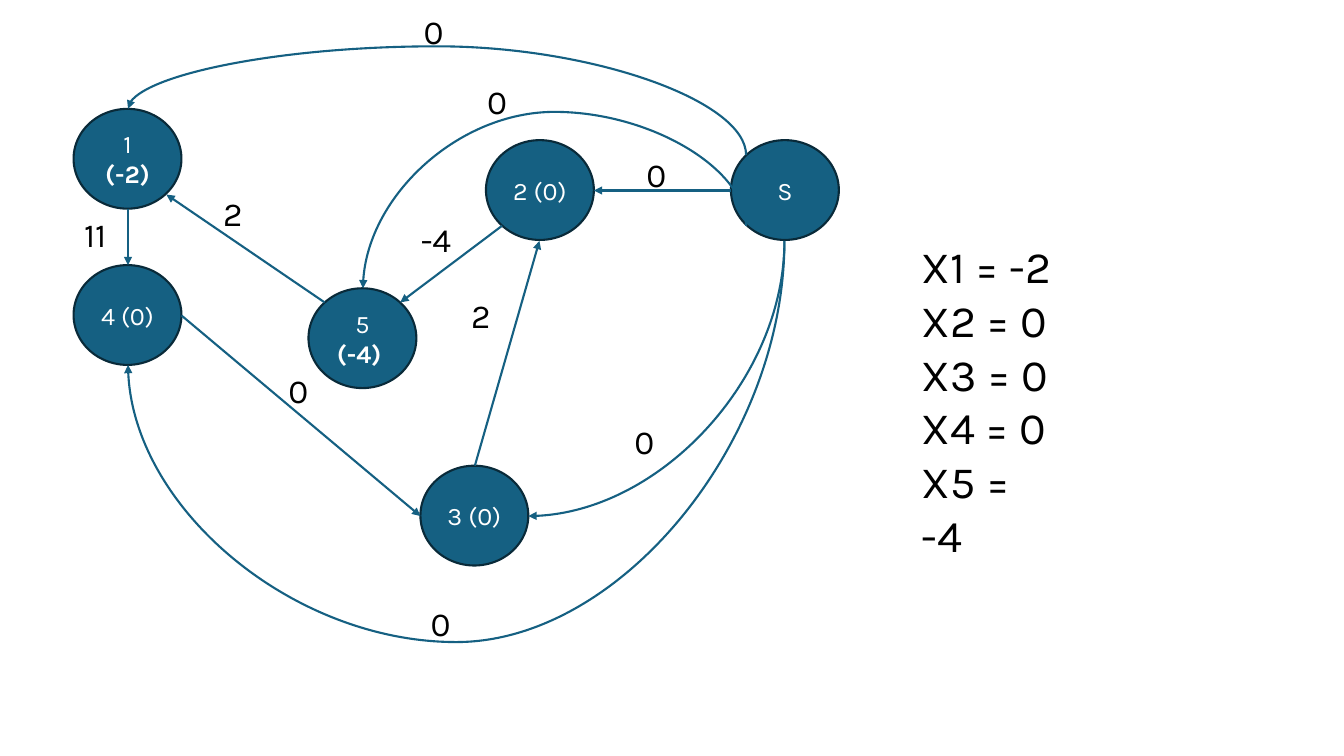
"""Draw a constraint graph with shortest-path values and its solution."""

from dataclasses import dataclass

import pptx
import pptx.dml.color
import pptx.enum.shapes
import pptx.enum.text
import pptx.oxml
import pptx.oxml.ns
import pptx.util

PX = 9144
FONT = "Karla"
TEAL, NAVY, WHITE, BLACK = "156082", "092A39", "FFFFFF", "000000"
NODE_WIDTH, NODE_HEIGHT = 107, 99
LABEL_HEIGHT = 50


@dataclass(frozen=True)
class Node:
    left: int
    top: int
    text: str
    bold_text: str = ""


@dataclass(frozen=True)
class Edge:
    start: tuple[int, int]
    end: tuple[int, int]


@dataclass(frozen=True)
class Curve(Edge):
    preset: str = "curvedConnector3"
    bend: int | None = None


@dataclass(frozen=True)
class Label:
    left: int
    top: int
    text: str
    width: int = 56


NODES = [
    Node(73, 108, "1 ", "(-2)"),
    Node(482, 139, "2 (0)"),
    Node(417, 462, "3 (0)"),
    Node(73, 263, "4 (0)"),
    Node(306, 286, "5 ", "(-4) "),
    Node(725, 139, "S"),
]
EDGES = [
    Edge((471, 462), (535, 239)),
    Edge((498, 224), (397, 300)),
    Edge((322, 300), (165, 193)),
    Edge((127, 207), (127, 263)),
    Edge((180, 313), (417, 512)),
    Edge((725, 189), (589, 189)),
]
CURVES = [
    Curve((740, 154), (127, 108), bend=46),
    Curve((778, 239), (127, 362), bend=637),
    Curve((740, 224), (360, 286), bend=111),
    Curve((778, 239), (524, 512), preset="curvedConnector2"),
]
LABELS = [
    Label(449, 288, "2"),
    Label(268, 362, "0"),
    Label(399, 212, "-4", 67),
    Label(203, 186, "2"),
    Label(63, 207, "11", 63),
    Label(465, 75, "0"),
    Label(402, 6, "0"),
    Label(409, 593, "0"),
    Label(623, 148, "0"),
    Label(611, 413, "0"),
]
SOLUTION = ["X1 = -2", "X2 = 0", "X3 = 0", "X4 = 0", "X5 = -4"]


def px(length: float) -> int:
    """Turn px into EMU."""
    return round(length * PX)


def colour(value: str) -> pptx.dml.color.RGBColor:
    """Turn a hex string into a colour."""
    return pptx.dml.color.RGBColor.from_string(value)


def style_paragraph(paragraph, size: int, value: str, centred: bool = True) -> None:
    """Set the font and alignment of a paragraph."""
    align = pptx.enum.text.PP_ALIGN
    paragraph.alignment = align.CENTER if centred else align.LEFT
    paragraph.font.name = FONT
    paragraph.font.size = pptx.util.Pt(size)
    paragraph.font.color.rgb = colour(value)


def draw_node(slide, node: Node) -> None:
    """Draw a graph node with its distance."""
    shape = slide.shapes.add_shape(
        pptx.enum.shapes.MSO_SHAPE.OVAL,
        px(node.left), px(node.top), px(NODE_WIDTH), px(NODE_HEIGHT),
    )
    shape.shadow.inherit = False
    shape.fill.solid()
    shape.fill.fore_color.rgb = colour(TEAL)
    shape.line.color.rgb = colour(NAVY)
    shape.line.width = pptx.util.Pt(1.5)
    shape.text_frame.vertical_anchor = pptx.enum.text.MSO_ANCHOR.MIDDLE
    paragraph = shape.text_frame.paragraphs[0]
    paragraph.add_run().text = node.text
    if node.bold_text:
        run = paragraph.add_run()
        run.text = node.bold_text
        run.font.bold = True
    style_paragraph(paragraph, 18, WHITE)


def draw_edge(slide, edge: Edge, kind=pptx.enum.shapes.MSO_CONNECTOR.STRAIGHT):
    """Draw an arrow from start to end and return it."""
    connector = slide.shapes.add_connector(kind, *map(px, edge.start + edge.end))
    connector.line.color.rgb = colour(TEAL)
    connector.line.width = pptx.util.Pt(1.5)
    qn = pptx.oxml.ns.qn
    properties = connector._element.spPr
    line = properties.find(qn("a:ln"))
    line.append(line.makeelement(qn("a:tailEnd"), {"type": "triangle"}))
    properties.append(properties.makeelement(qn("a:effectLst"), {}))
    return connector


def draw_curve(slide, curve: Curve) -> None:
    """Draw a curved arrow that leaves its start vertically."""
    connector = draw_edge(slide, curve, pptx.enum.shapes.MSO_CONNECTOR.CURVE)
    (x1, y1), (x2, y2) = curve.start, curve.end
    width, height = abs(y2 - y1), abs(x2 - x1)
    connector.left = px((x1 + x2 - width) / 2)
    connector.top = px((y1 + y2 - height) / 2)
    connector.width, connector.height = px(width), px(height)
    qn = pptx.oxml.ns.qn
    properties = connector._element.spPr
    transform = properties.find(qn("a:xfrm"))
    transform.attrib.clear()
    downward = y2 > y1
    transform.set("rot", str((90 if downward else 270) * 60000))
    if not downward:
        transform.set("flipV", "1")
    geometry = properties.find(qn("a:prstGeom"))
    geometry.set("prst", curve.preset)
    if curve.bend is not None:
        ratio = round((curve.bend - y1) / (y2 - y1) * 100000)
        guide = geometry.makeelement(qn("a:gd"), {"name": "adj1", "fmla": f"val {ratio}"})
        geometry.find(qn("a:avLst")).append(guide)


def draw_text(slide, box: tuple[int, int, int, int], lines: list[str],
              size: int, centred: bool = True) -> None:
    """Draw a text box with one paragraph per line."""
    frame = slide.shapes.add_textbox(*map(px, box)).text_frame
    frame.word_wrap = True
    frame.auto_size = pptx.enum.text.MSO_AUTO_SIZE.SHAPE_TO_FIT_TEXT
    frame.text = "\n".join(lines)
    for paragraph in frame.paragraphs:
        style_paragraph(paragraph, size, BLACK, centred)


def main() -> None:
    """Build the slide and save it."""
    presentation = pptx.Presentation()
    presentation.slide_width, presentation.slide_height = px(1333), px(750)
    slide = presentation.slides.add_slide(presentation.slide_layouts[6])
    for node in NODES:
        draw_node(slide, node)
    for edge in EDGES:
        draw_edge(slide, edge)
    for curve in CURVES:
        draw_curve(slide, curve)
    for label in LABELS:
        draw_text(slide, (label.left, label.top, label.width, LABEL_HEIGHT), [label.text], 24)
    draw_text(slide, (904, 232, 151, 279), SOLUTION, 32, centred=False)
    presentation.save("out.pptx")


if __name__ == "__main__":
    main()
